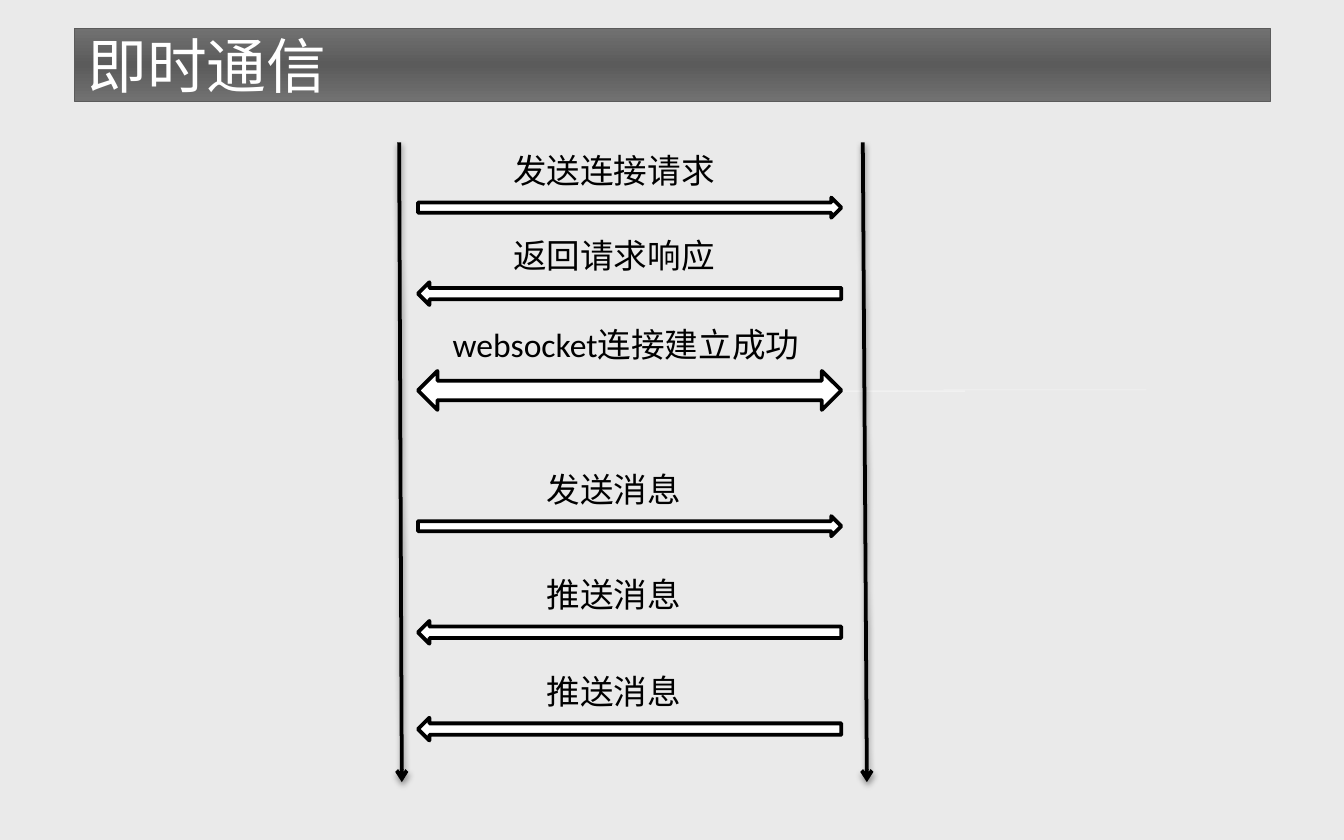
from copy import deepcopy

from lxml.etree import SubElement
from pptx import Presentation
from pptx.dml.color import RGBColor
from pptx.enum.shapes import MSO_CONNECTOR, MSO_SHAPE
from pptx.enum.text import MSO_ANCHOR, MSO_AUTO_SIZE, PP_ALIGN
from pptx.oxml import parse_xml
from pptx.oxml.ns import nsdecls, qn
from pptx.util import Inches, Pt

BLACK = RGBColor(0x00, 0x00, 0x00)
WHITE = RGBColor(0xFF, 0xFF, 0xFF)
PALE = RGBColor(0xEA, 0xEA, 0xEA)
GREY = RGBColor(0x71, 0x71, 0x71)
DARK = RGBColor(0x5B, 0x5B, 0x5B)

deck = Presentation()
deck.slide_width, deck.slide_height = Inches(10), Inches(6.25)
COL = deck.slide_width / 100
ROW = deck.slide_height / 125

slide = deck.slides.add_slide(deck.slide_layouts[5])
slide.background.fill.solid()
slide.background.fill.fore_color.rgb = PALE


def grid(left, top, wide, high):
    """Turn columns and rows into lengths, for a box or for two points."""
    return int(left * COL), int(top * ROW), int(wide * COL), int(high * ROW)


def write(shape, text, size=18, font="Calibri", color=BLACK, wrap=False,
          fit=MSO_AUTO_SIZE.SHAPE_TO_FIT_TEXT, anchor=MSO_ANCHOR.TOP):
    frame = shape.text_frame
    frame.word_wrap, frame.auto_size = wrap, fit
    frame.vertical_anchor = anchor
    para = frame.paragraphs[0]
    para.alignment = PP_ALIGN.LEFT
    run = para.add_run()
    run.text = text
    run.font.size, run.font.name = Pt(size), font
    run.font.color.rgb = color
    SubElement(run.font._element, qn("a:ea"), typeface="Noto Sans CJK SC")


# Title bar
title = slide.shapes.title
title.left, title.top, title.width, title.height = grid(5.5, 4.2, 89, 10.8)
title._element.spPr.append(parse_xml(
    f'<a:prstGeom {nsdecls("a")} prst="roundRect"><a:avLst>'
    '<a:gd name="adj" fmla="val 9400"/></a:avLst></a:prstGeom>'))
title.fill.gradient()
title.fill.gradient_angle = 90
stops = title.fill.gradient_stops
stops[0]._gs.addnext(deepcopy(stops[0]._gs))
for stop, place, tone in zip(title.fill.gradient_stops, (0, 0.5, 1),
                             (GREY, DARK, GREY)):
    stop.position, stop.color.rgb = place, tone
title.line.color.rgb, title.line.width = DARK, Pt(0.25)
write(title, "即时通信", size=32, font="Noto Sans CJK SC", color=WHITE,
      wrap=True, fit=MSO_AUTO_SIZE.NONE, anchor=MSO_ANCHOR.MIDDLE)

# Faint streaks and the two lifelines; alpha is set on streaks only
LINES = [
    ((70.2, 58, 85.3, 58), WHITE, 0.75, 22),
    ((56.8, 58.2, 71.8, 58.2), WHITE, 0.75, 36),
    ((29.7, 21.2, 29.9, 116.4), BLACK, 2, None),
    ((64.2, 21.2, 64.5, 116.4), BLACK, 2, None),
]
for ends, color, width, alpha in LINES:
    line = slide.shapes.add_connector(MSO_CONNECTOR.STRAIGHT, *grid(*ends))
    line.line.color.rgb, line.line.width = color, Pt(width)
    stroke = line.line._get_or_add_ln()
    effect = SubElement(line._element.spPr, qn("a:effectLst"))
    if alpha:
        tint = stroke.find(".//" + qn("a:srgbClr"))
        SubElement(tint, qn("a:alpha"), val=str(alpha * 1000))
    else:
        SubElement(stroke, qn("a:tailEnd"), type="arrow")
        shade = SubElement(effect, qn("a:outerShdw"), blurRad=str(Pt(3.1)),
                           dist=str(Pt(1.6)), dir="5400000", rotWithShape="0")
        tint = SubElement(shade, qn("a:srgbClr"), val="000000")
        SubElement(tint, qn("a:alpha"), val="38000")

# Messages: each arrow sits eight rows below the top of its label
SEND = MSO_SHAPE.RIGHT_ARROW, 3
REPLY = MSO_SHAPE.LEFT_ARROW, 3.4
BOTH = MSO_SHAPE.LEFT_RIGHT_ARROW, 5.8
STEPS = [
    ("发送连接请求", 37.2, 21.4, 17, SEND),
    ("返回请求响应", 37.2, 34, 17, REPLY),
    ("websocket连接建立成功", 32.7, 47.2, 29.9, BOTH),
    ("发送消息", 39.7, 68.8, 12, SEND),
    ("推送消息", 39.7, 84.4, 12, REPLY),
    ("推送消息", 39.7, 98.8, 12, REPLY),
]
for text, left, top, wide, (kind, high) in STEPS:
    arrow = slide.shapes.add_shape(kind, *grid(31.1, top + 8, 31.5, high))
    arrow.shadow.inherit = False
    arrow.fill.solid()
    arrow.fill.fore_color.rgb = WHITE
    arrow.line.color.rgb, arrow.line.width = BLACK, Pt(2)
    label = slide.shapes.add_textbox(*grid(left, top, wide, 8))
    write(label, text, wrap=kind == MSO_SHAPE.LEFT_RIGHT_ARROW)

deck.save("out.pptx")
